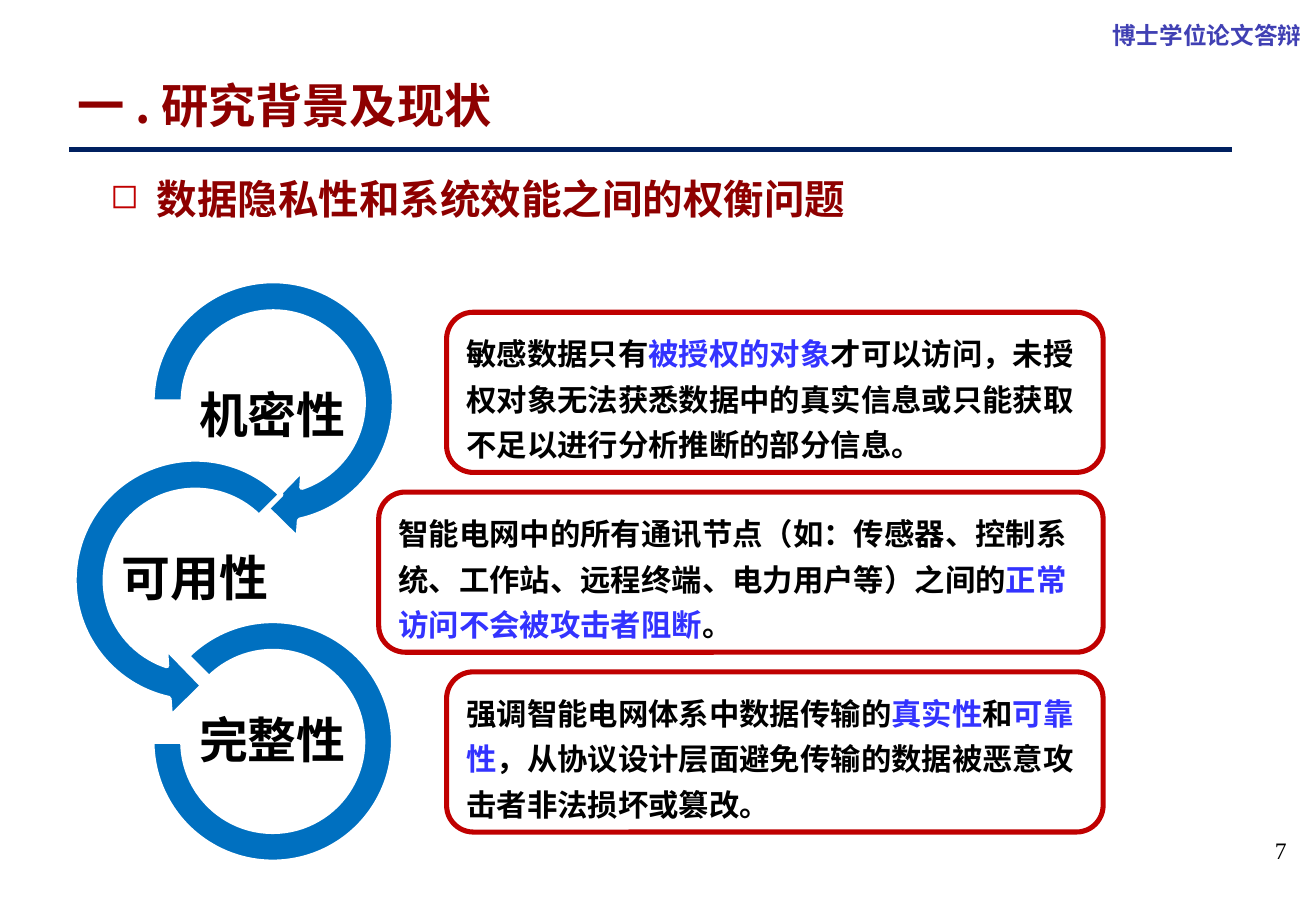
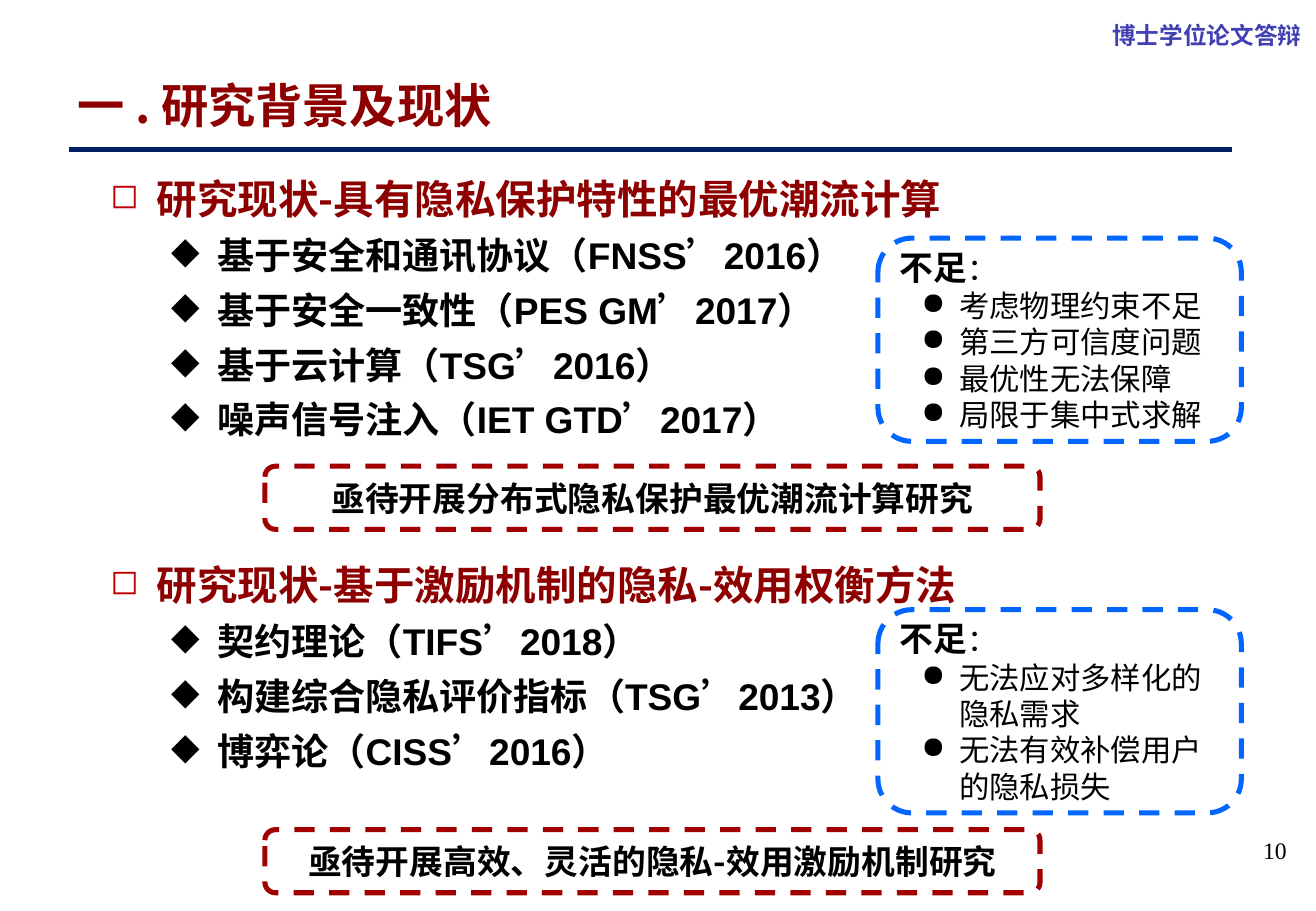
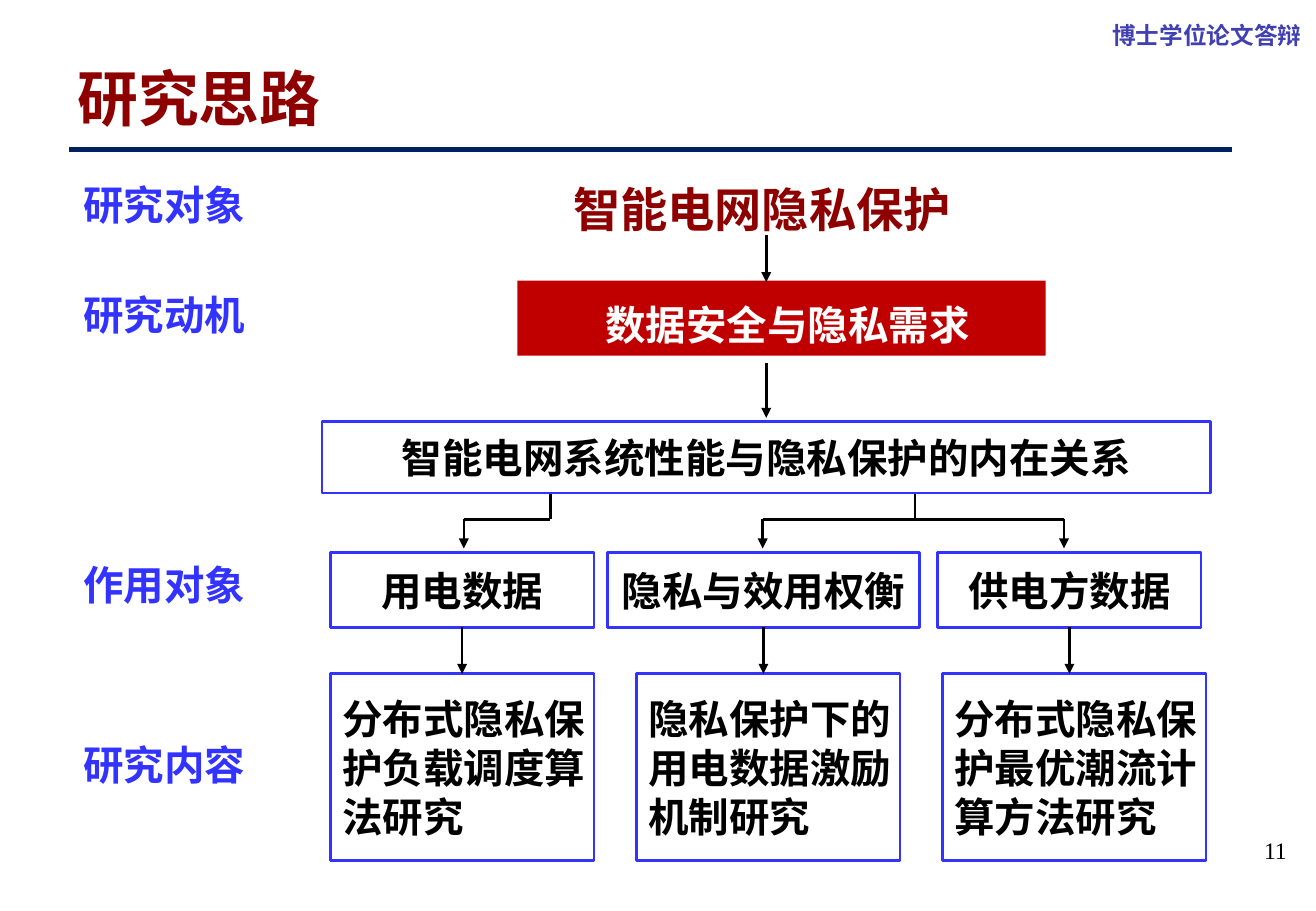
from dataclasses import dataclass, replace

from lxml import etree
from pptx import Presentation
from pptx import util as u
from pptx.dml.color import RGBColor
from pptx.enum import dml, shapes, text
from pptx.oxml.ns import qn

SHAPE = shapes.MSO_SHAPE
ALIGN = text.PP_ALIGN
ANCHOR = text.MSO_ANCHOR


@dataclass(frozen=True)
class Box:
    """A region of the slide, in centimetres."""
    left: float
    top: float
    width: float
    height: float

    def inner(self, dx, dy, width, height):
        return Box(self.left + dx, self.top + dy, width, height)

    def lengths(self):
        return [u.Cm(side) for side in (self.left, self.top, self.width, self.height)]


@dataclass(frozen=True)
class Style:
    size: float
    color: str
    bold: bool = True
    face: str = "Noto Sans CJK SC"


@dataclass(frozen=True)
class Bullet:
    char: str
    margin: float
    hang: float
    color: str
    percent: int = 100


@dataclass(frozen=True)
class Para:
    """runs is a string, or a list of (text, style or None for the paragraph's own)."""
    runs: object
    style: Style
    align: object = ALIGN.LEFT
    line: float = 1.0
    before: float = 0
    bullet: object = None


class Theme:
    black, white = "000000", "FFFFFF"
    maroon, red, dark_red = "8E0000", "C00000", "A20000"
    blue, arc_blue, dash_blue, navy = "3333FF", "0070C0", "0066FF", "002060"
    east_asian = "Noto Sans CJK SC"
    thick, thin = 3, 1.5

    header = Style(14, "4040B3")
    page = Style(14, black, False, "Times New Roman")
    title = Style(28, maroon)
    big_title = Style(36, maroon)
    heading = Style(24, maroon)
    item = Style(22, black, face="Arial")
    cycle = Style(29, black, face="Arial")
    body = Style(18, black)
    key = Style(18, blue)
    plain = Style(18, black, False)
    strong = Style(20, black)
    node = Style(24, black)
    node_light = Style(24, white)
    stage = Style(24, blue)

    square = Bullet("◻", 0.97, 0.97, red, 85)
    diamond = Bullet("◆", 2.24, 0.97, black)
    dot = Bullet("●", 1.24, 0.79, black)


def rgb(color):
    return RGBColor.from_string(color)


def set_font(font, style):
    font.size = u.Pt(style.size)
    font.bold = style.bold
    font.name = style.face
    font.color.rgb = rgb(style.color)


def set_bullet(paragraph, bullet):
    props = paragraph._p.get_or_add_pPr()
    props.set("marL", str(u.Cm(bullet.margin)))
    props.set("indent", str(-u.Cm(bullet.hang)))
    color = etree.SubElement(props, qn("a:buClr"))
    etree.SubElement(color, qn("a:srgbClr")).set("val", bullet.color)
    etree.SubElement(props, qn("a:buSzPct")).set("val", str(bullet.percent * 1000))
    etree.SubElement(props, qn("a:buChar")).set("char", bullet.char)


def write(frame, paras):
    for index, para in enumerate(paras):
        paragraph = frame.add_paragraph() if index else frame.paragraphs[0]
        if para.bullet:
            set_bullet(paragraph, para.bullet)
        paragraph.alignment = para.align
        paragraph.line_spacing = para.line
        if index:
            paragraph.space_before = u.Pt(para.before)
        set_font(paragraph.font, para.style)
        defaults = paragraph._p.pPr.find(qn("a:defRPr"))
        etree.SubElement(defaults, qn("a:ea")).set("typeface", Theme.east_asian)
        runs = [(para.runs, None)] if isinstance(para.runs, str) else para.runs
        for words, style in runs:
            run = paragraph.add_run()
            run.text = words
            if style:
                set_font(run.font, style)


def fill_frame(frame, paras, anchor, insets, wrap=True):
    frame.word_wrap = wrap
    frame.vertical_anchor = anchor
    (frame.margin_left, frame.margin_top,
     frame.margin_right, frame.margin_bottom) = [u.Cm(inset) for inset in insets]
    write(frame, paras)


def add_text(slide, box, *paras, anchor=ANCHOR.TOP,
             insets=(0.25, 0.13, 0.25, 0.13), wrap=True):
    frame = slide.shapes.add_textbox(*box.lengths()).text_frame
    fill_frame(frame, paras, anchor, insets, wrap)


def add_panel(slide, kind, box, *paras, fill=None, line=None, weight=Theme.thick,
              dashed=False, adjust=(), anchor=ANCHOR.MIDDLE,
              insets=(0.25, 0.13, 0.25, 0.13)):
    panel = slide.shapes.add_shape(kind, *box.lengths())
    panel.shadow.inherit = False
    for index, value in enumerate(adjust):
        panel.adjustments[index] = value
    if fill:
        panel.fill.solid()
        panel.fill.fore_color.rgb = rgb(fill)
    else:
        panel.fill.background()
    if line:
        panel.line.color.rgb = rgb(line)
        panel.line.width = u.Pt(weight)
        if dashed:
            panel.line.dash_style = dml.MSO_LINE.DASH
    else:
        panel.line.fill.background()
    if paras:
        fill_frame(panel.text_frame, paras, anchor, insets)


def add_line(slide, x1, y1, x2, y2, color=Theme.black, weight=Theme.thin, arrow=False):
    ends = [u.Cm(value) for value in (x1, y1, x2, y2)]
    line = slide.shapes.add_connector(shapes.MSO_CONNECTOR.STRAIGHT, *ends)
    line.line.color.rgb = rgb(color)
    line.line.width = u.Pt(weight)
    if arrow:
        etree.SubElement(line.line._get_or_add_ln(), qn("a:tailEnd")).set("type", "triangle")
    etree.SubElement(line._element.spPr, qn("a:effectLst"))


def start_slide(deck, title, number, style=Theme.title):
    """Add a slide with the header, title, rule and page number all slides share."""
    slide = deck.slides.add_slide(deck.slide_layouts[6])
    add_line(slide, 1.45, 3.12, 25.76, 3.12, Theme.navy, Theme.thick)
    add_text(slide, Box(23.01, 0.18, 4.5, 0.91),
             Para("博士学位论文答辩", Theme.header, line=1.2), wrap=False)
    add_text(slide, Box(1.37, 0.13, 24.77, 2.79), Para(title, style), anchor=ANCHOR.BOTTOM)
    add_text(slide, Box(20.73, 17.35, 6.43, 1.27),
             Para(str(number), Theme.page, ALIGN.RIGHT))
    return slide


def heading(words):
    return Para(words, Theme.heading, bullet=Theme.square)


def place_cycle(slide, box, labels):
    arcs = [
        (SHAPE.CIRCULAR_ARROW, 1.63, 0, 5.89, (0.11, 11.423, 45, 108, 0.125)),
        (SHAPE.LEFT_CIRCULAR_ARROW, 0, 3.73, 5.89, (0.11, 11.423, 63, 189, 0.125)),
        (SHAPE.BLOCK_ARC, 2.04, 7.52, 5.05, (135, 108, 0.127)),
    ]
    for row, ((kind, dx, dy, size, adjust), label) in enumerate(zip(arcs, labels)):
        add_panel(slide, kind, box.inner(dx, dy, size, size),
                  fill=Theme.arc_blue, line=Theme.white, adjust=adjust)
        label_dx = 1.3 if row % 2 else 2.92
        add_text(slide, box.inner(label_dx, 2.46 + 3.4 * row, 3.28, 1.63),
                 Para(label, Theme.cycle, ALIGN.CENTER, line=0.9),
                 anchor=ANCHOR.MIDDLE, insets=(0.05,) * 4)


def place_definitions(slide, box, definitions):
    height, pitch = 3.35, 3.76
    for row, runs in enumerate(definitions):
        dx = 0 if row % 2 else 1.42
        add_panel(slide, SHAPE.ROUNDED_RECTANGLE,
                  box.inner(dx, pitch * row, box.width - dx, height),
                  Para(runs, Theme.body, line=1.25),
                  fill=Theme.white, line=Theme.red, anchor=ANCHOR.TOP)


def build_tradeoff(deck):
    slide = start_slide(deck, "一 . 研究背景及现状", 7)
    place_cycle(slide, Box(1.14, 5.46, 7.52, 12.57), ["机密性", "可用性", "完整性"])
    place_definitions(slide, Box(7.92, 6.53, 15.15, 10.87), [
        [("敏感数据只有", None), ("被授权的对象", Theme.key),
         ("才可以访问，未授权对象无法获悉数据中的真实信息或只能获取"
          "不足以进行分析推断的部分信息。", None)],
        [("智能电网中的所有通讯节点（如：传感器、控制系统、工作站、"
          "远程终端、电力用户等）之间的", None),
         ("正常访问不会被攻击者阻断", Theme.key), ("。", None)],
        [("强调智能电网体系中数据传输的", None), ("真实性", Theme.key), ("和", None),
         ("可靠性", Theme.key),
         ("，从协议设计层面避免传输的数据被恶意攻击者非法损坏或篡改。", None)],
    ])
    add_text(slide, Box(2.06, 3.51, 23.19, 2.36), heading("数据隐私性和系统效能之间的权衡问题"))


def place_topic(slide, box, topic, methods, limits_top, limits, need):
    """A research topic: its methods, their limits at the right, the need at the bottom."""
    items = [Para(method, Theme.item, before=6, bullet=Theme.diamond) for method in methods]
    add_text(slide, box.inner(0, 0, 23.19, 4.5), heading(topic), *items)
    shortfalls = [Para(limit, Theme.plain, bullet=Theme.dot) for limit in limits]
    add_panel(slide, SHAPE.ROUNDED_RECTANGLE, box.inner(16.3, limits_top, 7.6, 4.25),
              Para([("不足", None), ("：", Theme.plain)], Theme.strong), *shortfalls,
              line=Theme.dash_blue, dashed=True)
    add_panel(slide, SHAPE.ROUNDED_RECTANGLE, box.inner(3.48, box.height - 1.32, 16.21, 1.32),
              Para(need, Theme.strong, ALIGN.CENTER),
              fill=Theme.white, line=Theme.dark_red, dashed=True)


def build_status(deck):
    slide = start_slide(deck, "一 . 研究背景及现状", 10)
    place_topic(
        slide, Box(2.06, 3.51, 23.9, 7.56), "研究现状-具有隐私保护特性的最优潮流计算",
        ["基于安全和通讯协议（FNSS’2016）", "基于安全一致性（PES GM’2017）",
         "基于云计算（TSG’2016）", "噪声信号注入（IET GTD’2017）"],
        1.47, ["考虑物理约束不足", "第三方可信度问题", "最优性无法保障", "局限于集中式求解"],
        "亟待开展分布式隐私保护最优潮流计算研究")
    place_topic(
        slide, Box(2.06, 11.58, 23.9, 7.09), "研究现状-基于激励机制的隐私-效用权衡方法",
        ["契约理论（TIFS’2018）", "构建综合隐私评价指标（TSG’2013）", "博弈论（CISS’2016）"],
        1.17, ["无法应对多样化的隐私需求", "无法有效补偿用户的隐私损失"],
        "亟待开展高效、灵活的隐私-效用激励机制研究")


def place_stages(slide, box, stages):
    for dy, label in stages:
        add_text(slide, box.inner(0, dy, box.width, 1.27),
                 Para(label, Theme.stage, ALIGN.CENTER))


def place_motive(slide, box):
    """The subject, the need that drives it and the relation under study, top to bottom."""
    add_text(slide, box.inner(2.97, 0, 12.47, 1.42),
             Para("智能电网隐私保护", Theme.title, ALIGN.CENTER, line=1.25),
             anchor=ANCHOR.MIDDLE)
    add_panel(slide, SHAPE.RECTANGLE, box.inner(4.09, 2.36, 11.05, 1.57),
              Para("数据安全与隐私需求", Theme.node_light, ALIGN.CENTER, line=1.25),
              fill=Theme.red, insets=(0.5, 0.13, 0.25, 0.13))
    add_panel(slide, SHAPE.RECTANGLE, box.inner(0, 5.3, box.width, 1.5),
              Para("智能电网系统性能与隐私保护的内在关系", Theme.node, ALIGN.CENTER),
              fill=Theme.white, line=Theme.blue, weight=Theme.thin)
    axis = box.left + box.width / 2
    for start, end in [(1.4, 2.39), (4.09, 5.23)]:
        add_line(slide, axis, box.top + start, axis, box.top + end, arrow=True)


def place_fork(slide, box, trunk, branches):
    """Lead a trunk at the top of the box down to arrows at the bottom."""
    bus, bottom = box.top + 0.52, box.top + box.height
    add_line(slide, trunk, box.top, trunk, bus)
    ends = [trunk, *branches]
    add_line(slide, min(ends), bus, max(ends), bus)
    for branch in branches:
        add_line(slide, branch, bus, branch, bottom, arrow=True)


def place_works(slide, box, works):
    """Each data object over the work done on it, in three columns."""
    pitch, object_height, work_top, work_height = 6.4, 1.57, 2.54, 3.91
    look = dict(fill=Theme.white, line=Theme.blue, weight=Theme.thin)
    for column, (dx, width, subject, work) in enumerate(works):
        add_panel(slide, SHAPE.RECTANGLE, box.inner(dx, 0, width, object_height),
                  Para(subject, Theme.node, ALIGN.CENTER), insets=(0,) * 4, **look)
        add_panel(slide, SHAPE.RECTANGLE,
                  box.inner(pitch * column, work_top, 5.51, work_height),
                  Para(work, Theme.node), insets=(0.25, 0.13, 0, 0.13), **look)
        axis = box.left + dx + width / 2
        add_line(slide, axis, box.top + object_height, axis, box.top + work_top, arrow=True)


def build_approach(deck):
    slide = start_slide(deck, "研究思路", 11, Theme.big_title)
    place_stages(slide, Box(1.14, 3.63, 4.6, 12.98),
                 [(0, "研究对象"), (2.31, "研究动机"), (7.95, "作用对象"), (11.71, "研究内容")])
    place_motive(slide, Box(6.73, 3.51, 18.59, 6.8))
    for trunk, branches in [(11.51, [9.7]), (19.13, [15.95, 22.25])]:
        place_fork(slide, Box(6.73, 10.34, 18.59, 1.13), trunk, branches)
    place_works(slide, Box(6.91, 11.55, 18.31, 6.45), [
        (0, 5.51, "用电数据", "分布式隐私保护负载调度算法研究"),
        (5.79, 6.53, "隐私与效用权衡", "隐私保护下的用电数据激励机制研究"),
        (12.7, 5.51, "供电方数据", "分布式隐私保护最优潮流计算方法研究"),
    ])


def main():
    deck = Presentation()
    deck.slide_width, deck.slide_height = u.Cm(27.52), u.Cm(19.05)
    build_tradeoff(deck)
    build_status(deck)
    build_approach(deck)
    deck.save("out.pptx")


if __name__ == "__main__":
    main()
